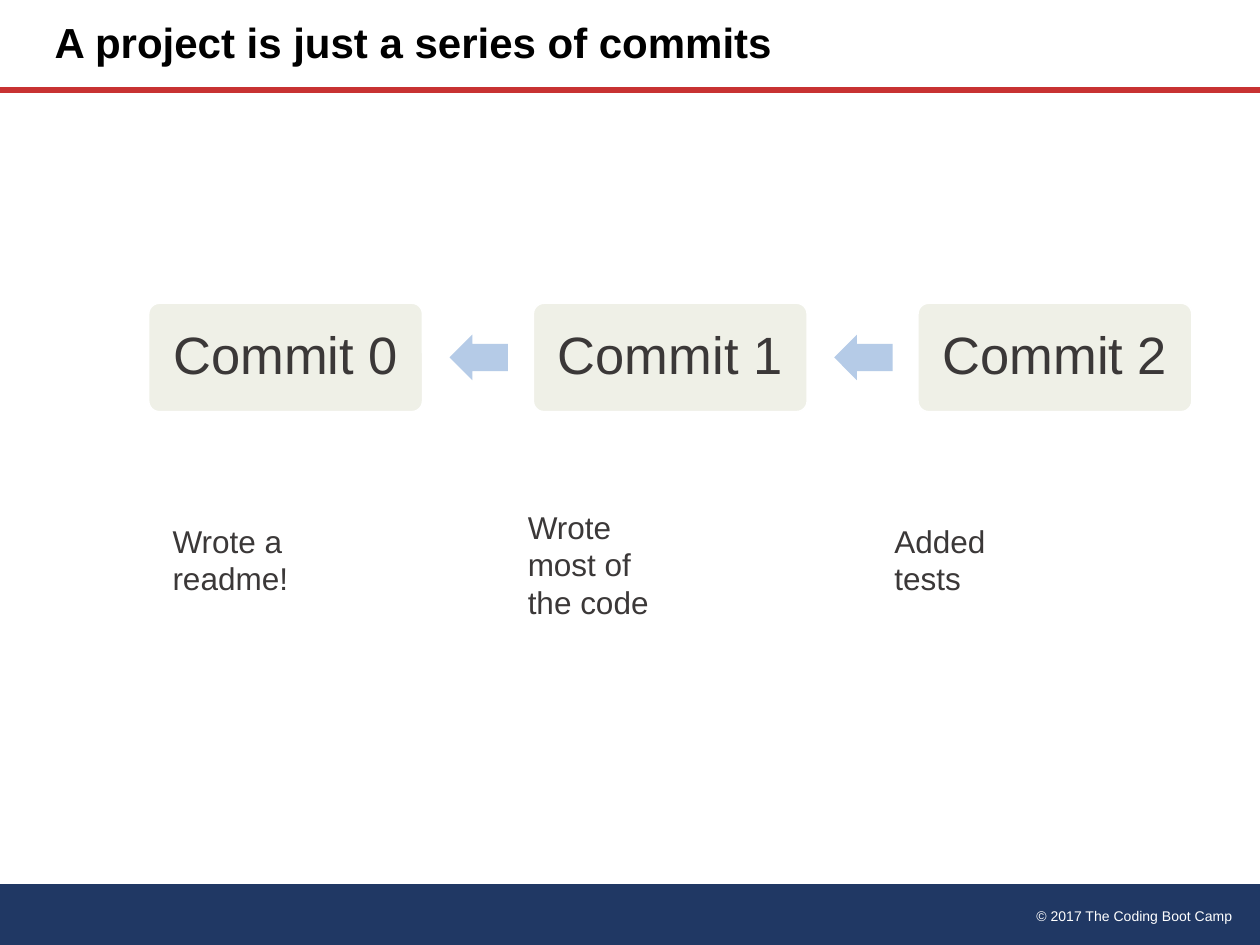
from pptx import Presentation
from pptx.dml.color import RGBColor
from pptx.enum.shapes import MSO_CONNECTOR, MSO_SHAPE
from pptx.enum.text import MSO_ANCHOR, PP_ALIGN
from pptx.oxml.ns import qn
from pptx.util import Pt
from lxml import etree

BOX, ARROW, BAR = MSO_SHAPE.ROUNDED_RECTANGLE, MSO_SHAPE.LEFT_ARROW, MSO_SHAPE.FLOWCHART_PROCESS
LEFT, MID, RIGHT = PP_ALIGN.LEFT, PP_ALIGN.CENTER, PP_ALIGN.RIGHT
WHITE = RGBColor(0xFF, 0xFF, 0xFF)
BLACK = RGBColor(0, 0, 0)
GRAY = RGBColor(0x3B, 0x38, 0x38)
CREAM = RGBColor(0xEF, 0xF0, 0xE7)
BLUE = RGBColor(0xB5, 0xCB, 0xE7)
NAVY = RGBColor(0x20, 0x38, 0x64)
RED = RGBColor(0xC8, 0x32, 0x32)

# Content
TITLE = "A project is just a series of commits"
FOOTER = "© 2017 The Coding Boot Camp"
COMMITS = ["Commit 0", "Commit 1", "Commit 2"]
NOTES = [  # text, left, top, height
    ("Wrote a readme!", 91.5, 294.5, 36.7),
    ("Wrote most of the code", 294.5, 286.5, 51.8),
    ("Added tests", 504, 294.5, 36.7),
]

# Layout of the commit chain
WIDE, TALL = 720, 540
START, TOP, STEP = 84.9, 173.2, 219.8
BOX_W, BOX_H = 156.6, 62.1
ARROW_W, ARROW_H, GAP = 33.4, 26, 15.9


def write(frame, text, size, color, align=LEFT, bold=False):
    frame.word_wrap = True
    par = frame.paragraphs[0]
    par.alignment = align
    run = par.add_run()
    run.text = text
    font = run.font
    font.name, font.size, font.bold = "Arial", Pt(size), bold
    font.color.rgb = color
    return par


def shape(kind, x, y, w, h, color):
    item = slide.shapes.add_shape(kind, Pt(x), Pt(y), Pt(w), Pt(h))
    item.shadow.inherit = False
    item.fill.solid()
    item.fill.fore_color.rgb = color
    item.line.fill.background()
    return item


def label(x, y, w, h, *text):
    box = slide.shapes.add_textbox(Pt(x), Pt(y), Pt(w), Pt(h))
    write(box.text_frame, *text)


deck = Presentation()
deck.slide_width, deck.slide_height = Pt(WIDE), Pt(TALL)
slide = deck.slides.add_slide(deck.slide_layouts[5])

# Footer bar and header rule
shape(BAR, 0, 505.2, WIDE, TALL - 505.2, NAVY)
label(491.8, 514.8, 219.6, 17.3, FOOTER, 8, WHITE, RIGHT)
rule = slide.shapes.add_connector(
    MSO_CONNECTOR.STRAIGHT, Pt(0), Pt(51.5), Pt(WIDE), Pt(51.5))
rule.line.color.rgb = RED
rule.line.width = Pt(3.25)
etree.SubElement(rule.line._get_or_add_ln().getparent(), qn("a:effectLst"))

# Title
title = slide.shapes.title
title.left, title.top, title.width, title.height = Pt(24), Pt(0), Pt(430.6), Pt(51.5)
title.text_frame.vertical_anchor = MSO_ANCHOR.MIDDLE
write(title.text_frame, TITLE, 24, BLACK, LEFT, True).line_spacing = 0.9

# Commits, each with an arrow back to the one before
for i, name in enumerate(COMMITS):
    x = START + i * STEP
    if i:
        arrow = shape(ARROW, x - GAP + 1.5 - ARROW_W, TOP + (BOX_H - ARROW_H) / 2,
                      ARROW_W, ARROW_H, BLUE)
        arrow.adjustments[0], arrow.adjustments[1] = 0.6, 0.5
    box = shape(BOX, x, TOP, BOX_W, BOX_H, CREAM)
    box.adjustments[0] = 0.1
    box.line.color.rgb = WHITE
    box.line.width = Pt(1)
    box.text_frame.vertical_anchor = MSO_ANCHOR.MIDDLE
    write(box.text_frame, name, 30, GRAY, MID).line_spacing = 0.9

# What each commit did
for text, x, y, h in NOTES:
    label(x, y, 97.2, h, text, 18, GRAY)

deck.save("out.pptx")
